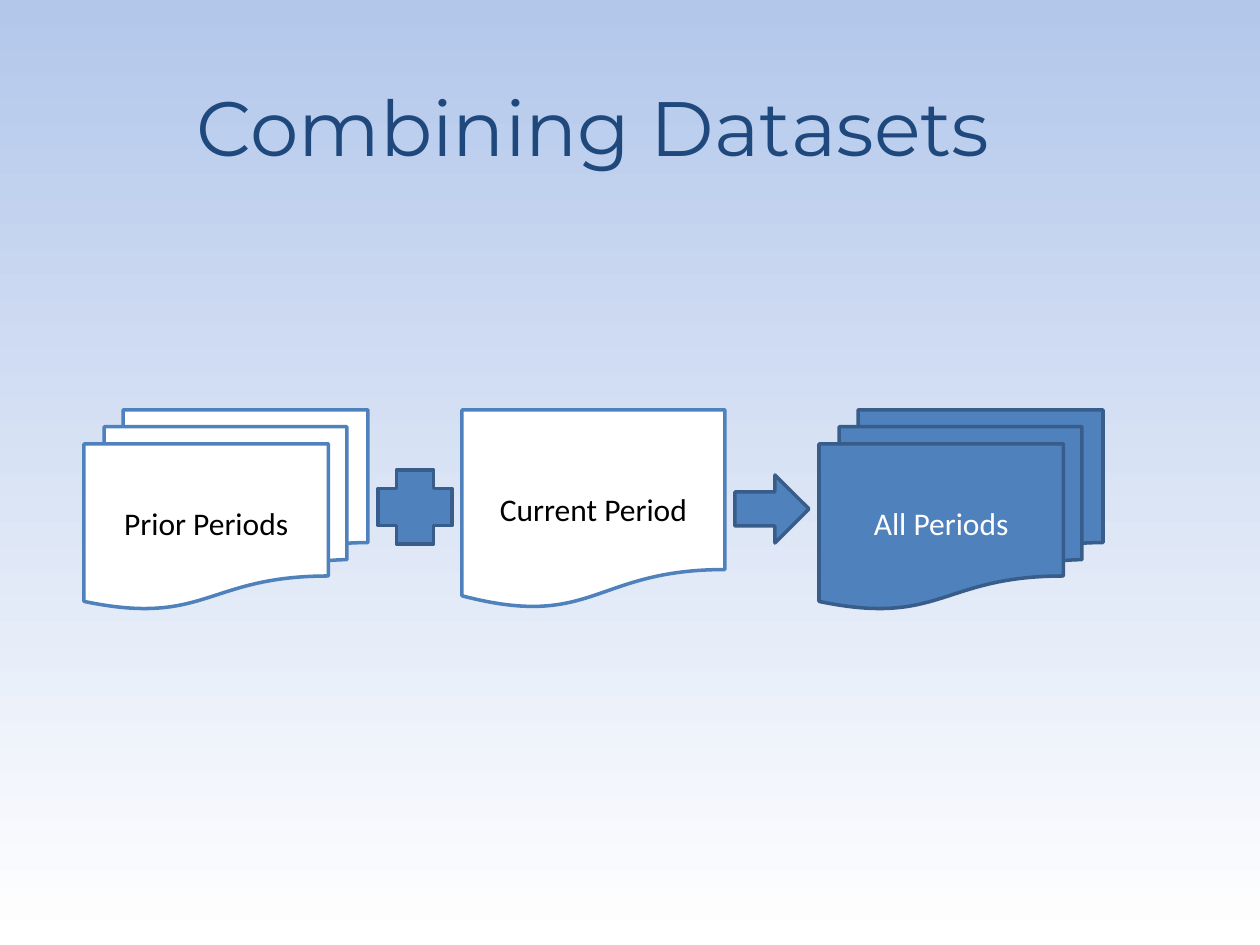
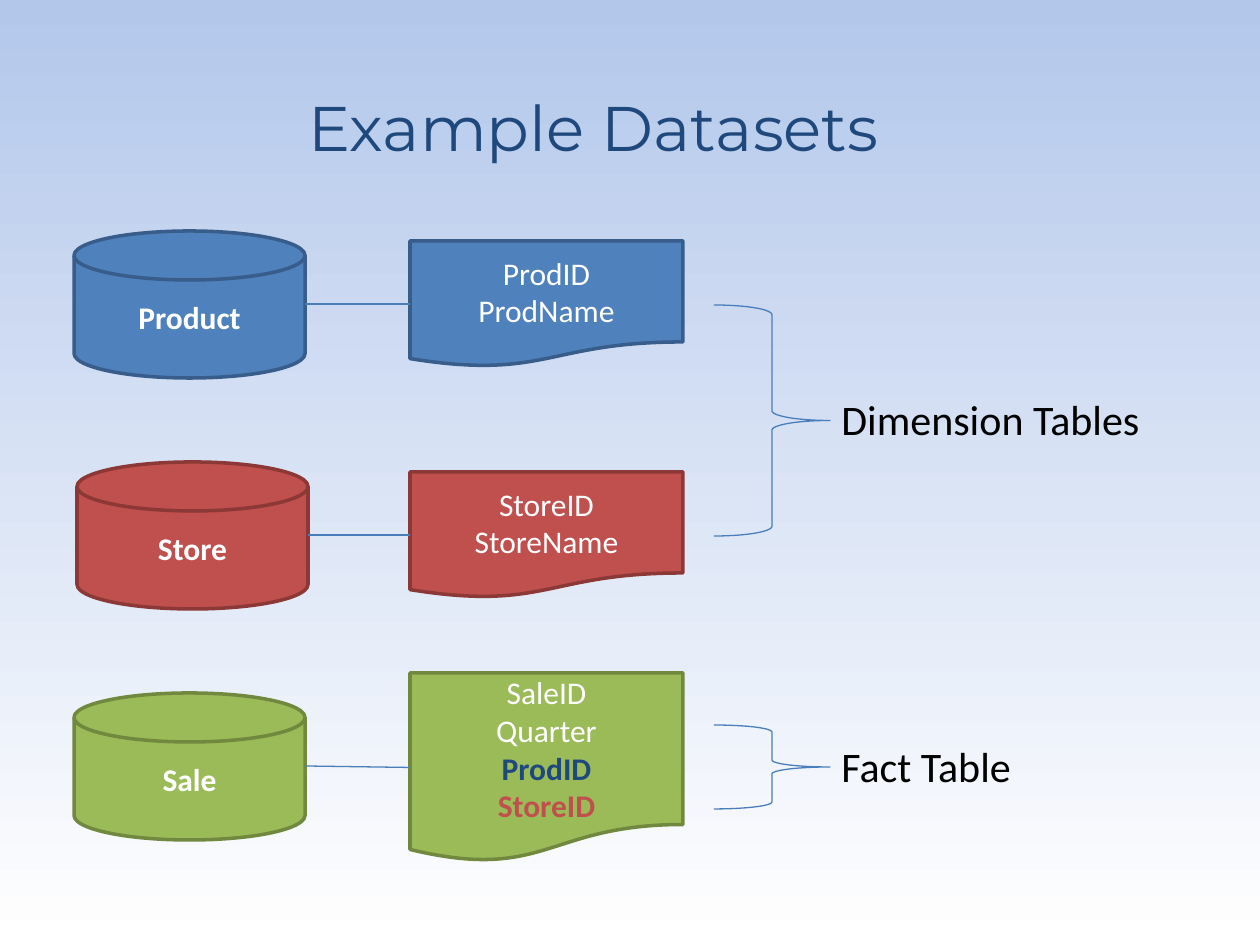
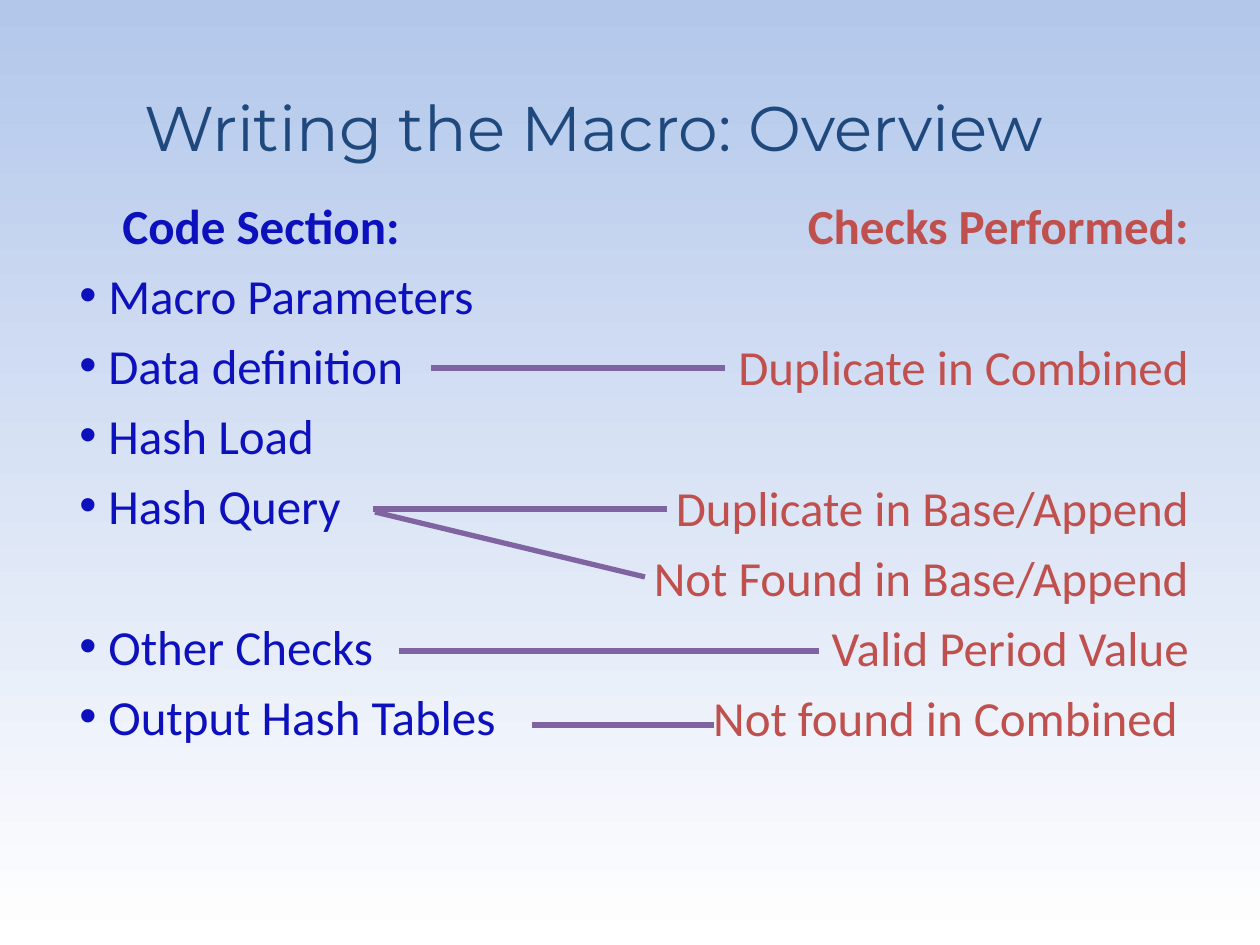
from dataclasses import dataclass
from typing import Optional, Sequence

from lxml import etree
from pptx import Presentation
from pptx import util as u
from pptx.dml.color import RGBColor
from pptx.enum import shapes, text
from pptx.oxml.ns import qn

PX = u.Inches(1) / 126
PRESET = shapes.MSO_SHAPE
ALIGN = text.PP_ALIGN


@dataclass(frozen=True)
class Theme:
    title_font: str = "Montserrat"
    body_font: str = "Calibri"
    sky: str = "B3C7EB"
    white: str = "FFFFFF"
    black: str = "000000"
    navy: str = "1F497D"
    blue: str = "4F81BD"
    blue_edge: str = "385D8A"
    red: str = "C0504D"
    red_edge: str = "8C3836"
    green: str = "9BBB59"
    green_edge: str = "71893F"
    thin_line: str = "4A7EBB"
    purple: str = "8064A2"
    ink: str = "0D11BD"
    title_size: int = 36
    large_title_size: int = 44
    label_size: int = 18
    caption_size: int = 24
    list_size: int = 28
    list_pitch: float = 40.6
    list_line: float = 34.2


THEME = Theme()


@dataclass(frozen=True)
class Box:
    left: int
    top: int
    width: int
    height: int

    @property
    def middle(self) -> int:
        return self.top + self.height // 2

    def emu(self) -> tuple:
        return tuple(px(n) for n in (self.left, self.top, self.width, self.height))


@dataclass(frozen=True)
class Style:
    fill: Optional[str]
    edge: str
    width: float = 2


@dataclass(frozen=True)
class Label:
    words: str
    color: str = THEME.white
    bold: bool = False


@dataclass(frozen=True)
class Node:
    preset: shapes.MSO_SHAPE
    box: Box
    style: Style
    labels: Sequence[Label] = ()
    top_inset: int = 6


@dataclass(frozen=True)
class Dataset:
    name: str
    disk: Box
    document: Box
    style: Style
    fields: Sequence[Label]


@dataclass(frozen=True)
class Caption:
    words: str
    brace: Box
    box: Box


@dataclass(frozen=True)
class Entry:
    row: int
    words: str
    bold: bool = False
    bullet: bool = False
    left_indent: int = 0
    right_indent: int = 0


@dataclass(frozen=True)
class Line:
    x1: int
    y1: int
    x2: int
    y2: int


PAPER = Style(THEME.white, THEME.blue)
BLUE = Style(THEME.blue, THEME.blue_edge)
RED = Style(THEME.red, THEME.red_edge)
GREEN = Style(THEME.green, THEME.green_edge)
BRACE = Style(None, THEME.thin_line, 0.75)

TITLE_BOX = Box(0, 63, 1187, 126)

PERIODS = (
    Node(PRESET.FLOWCHART_MULTIDOCUMENT, Box(84, 410, 284, 199), PAPER,
         [Label("Prior Periods", THEME.black)]),
    Node(PRESET.CROSS, Box(378, 470, 74, 74), BLUE),
    Node(PRESET.FLOWCHART_DOCUMENT, Box(462, 410, 263, 199), PAPER,
         [Label("Current Period", THEME.black)], top_inset=44),
    Node(PRESET.RIGHT_ARROW, Box(735, 475, 74, 68), BLUE),
    Node(PRESET.FLOWCHART_MULTIDOCUMENT, Box(819, 410, 284, 199), BLUE,
         [Label("All Periods")]),
)

DATASETS = (
    Dataset("Product", Box(74, 231, 231, 147), Box(410, 241, 273, 126), BLUE,
            [Label("ProdID"), Label("ProdName")]),
    Dataset("Store", Box(77, 462, 231, 147), Box(410, 472, 273, 126), RED,
            [Label("StoreID"), Label("StoreName")]),
    Dataset("Sale", Box(74, 693, 231, 147), Box(410, 673, 273, 189), GREEN,
            [Label("SaleID"), Label("Quarter"), Label("ProdID", THEME.navy, True),
             Label("StoreID", THEME.red, True)]),
)

CAPTIONS = (
    Caption("Dimension Tables", Box(714, 305, 116, 231), Box(829, 387, 357, 63)),
    Caption("Fact Table", Box(714, 725, 116, 84), Box(829, 734, 357, 63)),
)

SECTIONS = (
    Entry(0, "Code Section:", bold=True, left_indent=43),
    Entry(1, "Macro Parameters", bullet=True, left_indent=29),
    Entry(2, "Data definition", bullet=True, left_indent=29),
    Entry(3, "Hash Load", bullet=True, left_indent=29),
    Entry(4, "Hash Query", bullet=True, left_indent=29),
    Entry(6, "Other Checks", bullet=True, left_indent=29),
    Entry(7, "Output Hash Tables", bullet=True, left_indent=29),
)

CHECKS = (
    Entry(0, "Checks Performed:", bold=True),
    Entry(2, "Duplicate in Combined"),
    Entry(4, "Duplicate in Base/Append"),
    Entry(5, "Not Found in Base/Append"),
    Entry(6, "Valid Period Value"),
    Entry(7, "Not found in Combined", right_indent=11),
)

SECTION_TO_CHECK = (
    Line(431, 368, 725, 368),
    Line(373, 509, 667, 509),
    Line(375, 512, 645, 577),
    Line(399, 651, 819, 651),
    Line(532, 725, 714, 725),
)


def px(length: int) -> u.Emu:
    return u.Emu(round(length * PX))


def rgb(color: str) -> RGBColor:
    return RGBColor.from_string(color)


def set_font(para, size: int, color: str, bold: bool = False,
             name: str = THEME.body_font) -> None:
    para.font.name = name
    para.font.size = u.Pt(size)
    para.font.bold = bold
    para.font.color.rgb = rgb(color)


def paragraph_at(frame, index: int):
    """Return the frame's first paragraph for index 0, else a new one."""
    return frame.add_paragraph() if index else frame.paragraphs[0]


def paint_background(deck) -> None:
    fill = deck.slide_master.background.fill
    fill.gradient()
    fill.gradient_angle = 270
    for stop, color in zip(fill.gradient_stops, (THEME.sky, THEME.white)):
        stop.color.rgb = rgb(color)


def add_page(deck, title: str, size: int = THEME.title_size):
    page = deck.slides.add_slide(deck.slide_layouts.get_by_name("Title Only"))
    holder = page.shapes.title
    holder.left, holder.top, holder.width, holder.height = TITLE_BOX.emu()
    frame = holder.text_frame
    frame.vertical_anchor = text.MSO_ANCHOR.MIDDLE
    para = frame.paragraphs[0]
    para.text = title
    para.alignment = ALIGN.CENTER
    set_font(para, size, THEME.navy, name=THEME.title_font)
    return page


def add_node(page, node: Node):
    shape = page.shapes.add_shape(node.preset, *node.box.emu())
    shape.shadow.inherit = False
    if node.style.fill:
        shape.fill.solid()
        shape.fill.fore_color.rgb = rgb(node.style.fill)
    else:
        shape.fill.background()
    shape.line.color.rgb = rgb(node.style.edge)
    shape.line.width = u.Pt(node.style.width)
    frame = shape.text_frame
    frame.margin_top = px(node.top_inset)
    frame.vertical_anchor = text.MSO_ANCHOR.MIDDLE
    for index, label in enumerate(node.labels):
        para = paragraph_at(frame, index)
        para.text = label.words
        para.alignment = ALIGN.CENTER
        set_font(para, THEME.label_size, label.color, label.bold)
    return shape


def add_line(page, line: Line, color: str, width: float):
    ends = (px(n) for n in (line.x1, line.y1, line.x2, line.y2))
    connector = page.shapes.add_connector(shapes.MSO_CONNECTOR.STRAIGHT, *ends)
    connector.line.color.rgb = rgb(color)
    connector.line.width = u.Pt(width)
    etree.SubElement(connector._element.spPr, qn("a:effectLst"))
    return connector


def add_text_frame(page, box: Box):
    frame = page.shapes.add_textbox(*box.emu()).text_frame
    frame.word_wrap = True
    return frame


def add_dataset(page, data: Dataset) -> None:
    add_node(page, Node(PRESET.FLOWCHART_MAGNETIC_DISK, data.disk, data.style,
                        [Label(data.name, bold=True)]))
    document = add_node(page, Node(PRESET.FLOWCHART_DOCUMENT, data.document,
                                   data.style, data.fields))
    link = Line(data.disk.left + data.disk.width, data.disk.middle,
                data.document.left, data.document.middle)
    add_line(page, link, THEME.thin_line, 0.75).end_connect(document, 1)


def add_caption(page, caption: Caption) -> None:
    add_node(page, Node(PRESET.RIGHT_BRACE, caption.brace, BRACE))
    para = add_text_frame(page, caption.box).paragraphs[0]
    para.text = caption.words
    set_font(para, THEME.caption_size, THEME.black)


def add_bullet(properties, color: str) -> None:
    fill = etree.SubElement(properties, qn("a:buClr"))
    etree.SubElement(fill, qn("a:srgbClr"), val=color)
    etree.SubElement(properties, qn("a:buFont"), typeface="Arial")
    etree.SubElement(properties, qn("a:buChar"), char="•")


def add_column(page, box: Box, entries: Sequence[Entry], color: str,
               alignment: text.PP_ALIGN) -> None:
    """Write entries on a shared row pitch, so that skipped rows stay open."""
    frame = add_text_frame(page, box)
    previous_row = 0
    for index, entry in enumerate(entries):
        para = paragraph_at(frame, index)
        para.text = entry.words
        para.alignment = alignment
        if index:
            step = (entry.row - previous_row) * THEME.list_pitch
            para.space_before = u.Pt(step - THEME.list_line)
        previous_row = entry.row
        properties = para._p.get_or_add_pPr()
        properties.set("marL", str(px(entry.left_indent)))
        properties.set("marR", str(px(entry.right_indent)))
        if entry.bullet:
            properties.set("indent", str(-px(entry.left_indent)))
            add_bullet(properties, color)
        set_font(para, THEME.list_size, color, entry.bold)


def build_combining(deck) -> None:
    page = add_page(deck, "Combining Datasets", THEME.large_title_size)
    for node in PERIODS:
        add_node(page, node)


def build_examples(deck) -> None:
    page = add_page(deck, "Example Datasets")
    for data in DATASETS:
        add_dataset(page, data)
    for caption in CAPTIONS:
        add_caption(page, caption)


def build_overview(deck) -> None:
    page = add_page(deck, "Writing the Macro: Overview")
    add_column(page, Box(67, 189, 1134, 624), SECTIONS, THEME.ink, ALIGN.LEFT)
    add_column(page, Box(158, 189, 1043, 656), CHECKS, THEME.red, ALIGN.RIGHT)
    for line in SECTION_TO_CHECK:
        add_line(page, line, THEME.purple, 3)


def main() -> None:
    deck = Presentation()
    deck.slide_width, deck.slide_height = px(1260), px(945)
    paint_background(deck)
    build_combining(deck)
    build_examples(deck)
    build_overview(deck)
    deck.save("out.pptx")


if __name__ == "__main__":
    main()
